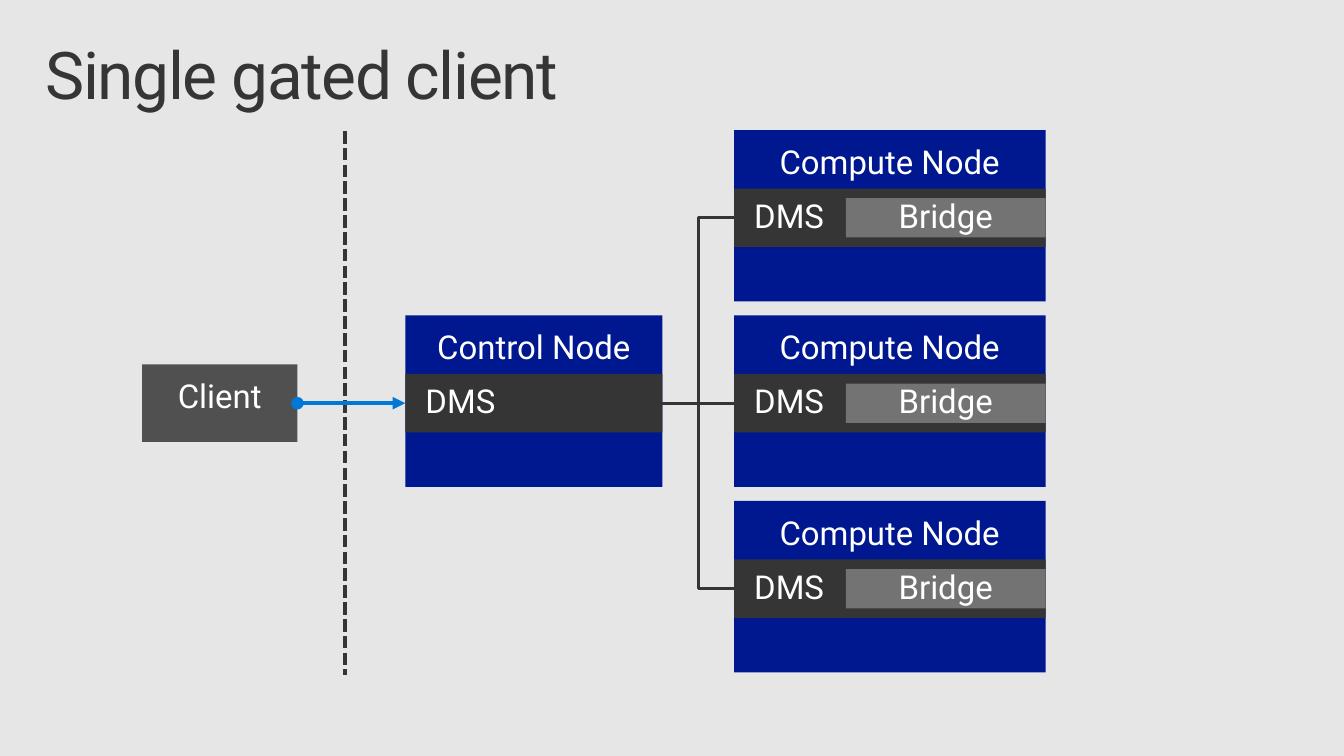
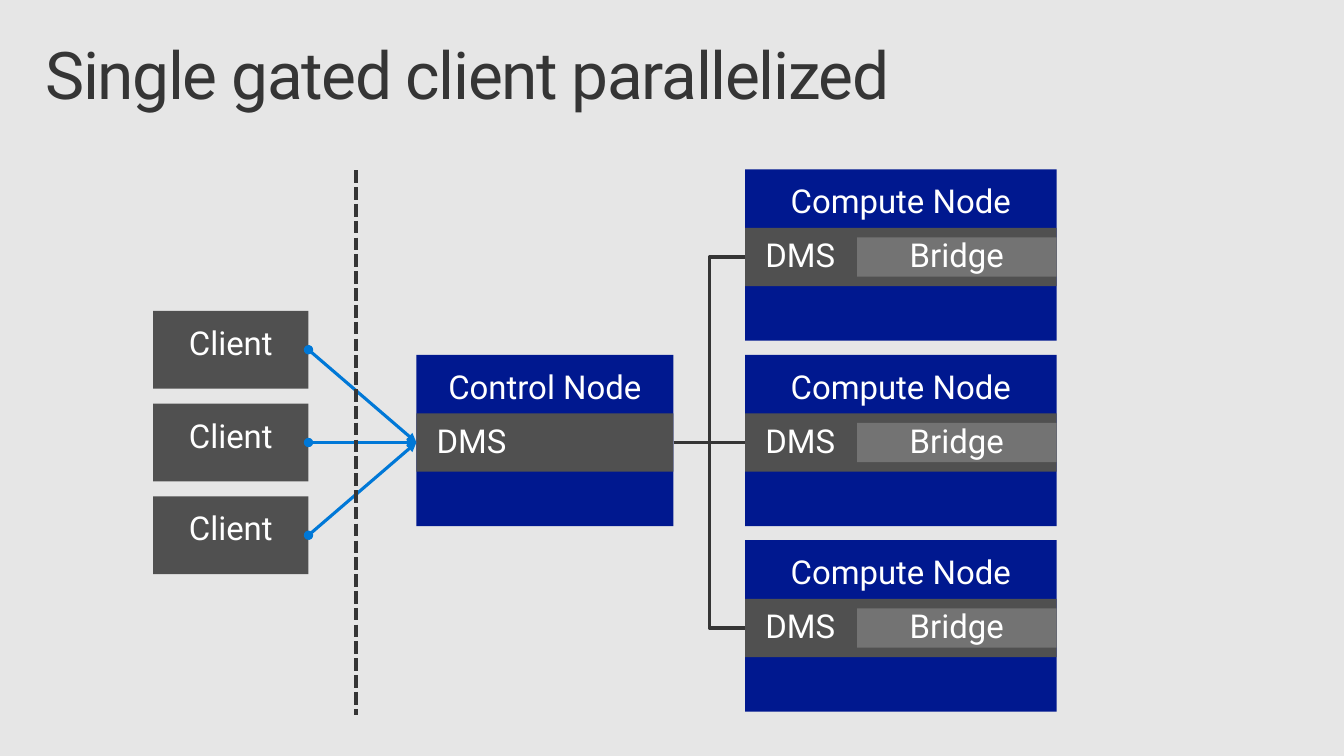
from lxml.etree import SubElement
from pptx import Presentation
from pptx.dml.color import RGBColor
from pptx.enum.dml import MSO_LINE
from pptx.enum.shapes import MSO_CONNECTOR, MSO_SHAPE
from pptx.enum.text import MSO_ANCHOR, PP_ALIGN
from pptx.oxml.ns import qn
from pptx.util import Inches, Pt

BACKGROUND, INK, WHITE = "E6E6E6", "353535", "FFFFFF"
NODE_BLUE, ARROW_BLUE = "00188F", "0078D7"
CLIENT_GREY, BRIDGE_GREY = "505050", "737373"
LEFT_SITE, RIGHT_SITE = 1, 3

TITLE = {"size": 47, "colour": INK, "inset_x": 0.16, "inset_y": 0.1,
         "align": PP_ALIGN.LEFT, "anchor": MSO_ANCHOR.TOP}
HEADING = {"size": 23.5, "colour": WHITE, "inset_x": 0.2, "inset_y": 0.16,
           "align": PP_ALIGN.CENTER, "anchor": MSO_ANCHOR.TOP}
CENTRED = HEADING | {"anchor": MSO_ANCHOR.MIDDLE}
BAND = CENTRED | {"align": PP_ALIGN.LEFT}

NODE_HEIGHT, BAND_HEIGHT, BRIDGE_HEIGHT = 1.7, 0.58, 0.39
BAND_CENTRE = 0.87
NODE_STEP, CLIENT_STEP = 1.84, 0.92
CLIENT_WIDTH, CLIENT_HEIGHT = 1.54, 0.77


def paint(fill, colour):
    fill.solid()
    fill.fore_color.rgb = RGBColor.from_string(colour)


def add_block(shapes, text, area, style, colour=None):
    bounds = [Inches(length) for length in area]
    if colour:
        block = shapes.add_shape(MSO_SHAPE.RECTANGLE, *bounds)
        block.shadow.inherit = False
        block.line.fill.background()
        paint(block.fill, colour)
    else:
        block = shapes.add_textbox(*bounds)
    frame_format = {
        "word_wrap": True,
        "vertical_anchor": style["anchor"],
        "margin_left": Inches(style["inset_x"]),
        "margin_right": Inches(style["inset_x"]),
        "margin_top": Inches(style["inset_y"]),
        "margin_bottom": Inches(style["inset_y"]),
    }
    for name, value in frame_format.items():
        setattr(block.text_frame, name, value)
    paragraph = block.text_frame.paragraphs[0]
    paragraph.alignment = style["align"]
    paragraph.line_spacing = 0.9
    run = paragraph.add_run()
    run.text = text
    run.font.name = "Roboto"
    run.font.size = Pt(style["size"])
    paint(run.font.fill, style["colour"])
    return block


presentation = Presentation()
presentation.slide_width = Inches(13.33)
presentation.slide_height = Inches(7.5)

topologies = [
    {"title": "Single gated client", "shift": 0, "middle": 4,
     "band": INK, "clients": 1, "arrow": 3, "gate_behind": True},
    {"title": "Single gated client parallelized", "shift": 0.11, "middle": 4.39,
     "band": CLIENT_GREY, "clients": 3, "arrow": 2.25, "gate_behind": False},
]

for topology in topologies:
    slide = presentation.slides.add_slide(presentation.slide_layouts[6])
    paint(slide.background.fill, BACKGROUND)
    shift, middle = topology["shift"], topology["middle"]

    title = add_block(slide.shapes, topology["title"], (0.29, 0.32, 12.75, 0.98), TITLE)
    title.text_frame.paragraphs[0].runs[0].font._element.set("spc", "-100")

    nodes = [("Compute Node", 7.28, 3.09, middle + row * NODE_STEP) for row in (-1, 0, 1)]
    nodes.append(("Control Node", 4.02, 2.55, middle))
    bands = []
    for heading, left, width, centre in nodes:
        left += shift
        parts = slide.shapes.add_group_shape().shapes
        add_block(parts, heading, (left, centre - BAND_CENTRE, width, NODE_HEIGHT),
                  HEADING, NODE_BLUE)
        bands.append(add_block(parts, "DMS", (left, centre - BAND_HEIGHT / 2, width, BAND_HEIGHT),
                               BAND, topology["band"]))
        if heading == "Compute Node":
            add_block(parts, "Bridge", (left + 1.11, centre - BRIDGE_HEIGHT / 2, 1.98, BRIDGE_HEIGHT),
                      CENTRED, BRIDGE_GREY)
    *compute_bands, control_band = bands

    links = [(MSO_CONNECTOR.ELBOW, control_band, band, INK, 2.25) for band in compute_bands]
    for row in range(topology["clients"]):
        centre = middle + (row - (topology["clients"] - 1) / 2) * CLIENT_STEP
        client = add_block(slide.shapes, "Client",
                           (1.41 + shift, centre - CLIENT_HEIGHT / 2, CLIENT_WIDTH, CLIENT_HEIGHT),
                           HEADING, CLIENT_GREY)
        links.append((MSO_CONNECTOR.STRAIGHT, client, control_band, ARROW_BLUE, topology["arrow"]))

    strokes = []
    for kind, source, target, colour, weight in links:
        link = slide.shapes.add_connector(
            kind, source.left + source.width, source.top + source.height // 2,
            target.left, target.top + target.height // 2)
        link.begin_connect(source, RIGHT_SITE)
        link.end_connect(target, LEFT_SITE)
        strokes.append((link, colour, weight))

    gate_x = Inches(3.42 + shift)
    gate = slide.shapes.add_connector(
        MSO_CONNECTOR.STRAIGHT, gate_x, Inches(middle - 2.7), gate_x, Inches(middle + 2.7))
    gate.line.dash_style = MSO_LINE.SQUARE_DOT
    strokes.append((gate, INK, 3))
    if topology["gate_behind"]:
        title._element.addnext(gate._element)

    for stroke, colour, weight in strokes:
        paint(stroke.line.fill, colour)
        stroke.line.width = Pt(weight)
        properties = stroke._element.spPr
        if colour == ARROW_BLUE:
            outline = properties.find(qn("a:ln"))
            SubElement(outline, qn("a:headEnd"), type="oval")
            SubElement(outline, qn("a:tailEnd"), type="triangle")
        SubElement(properties, qn("a:effectLst"))

presentation.save("out.pptx")
